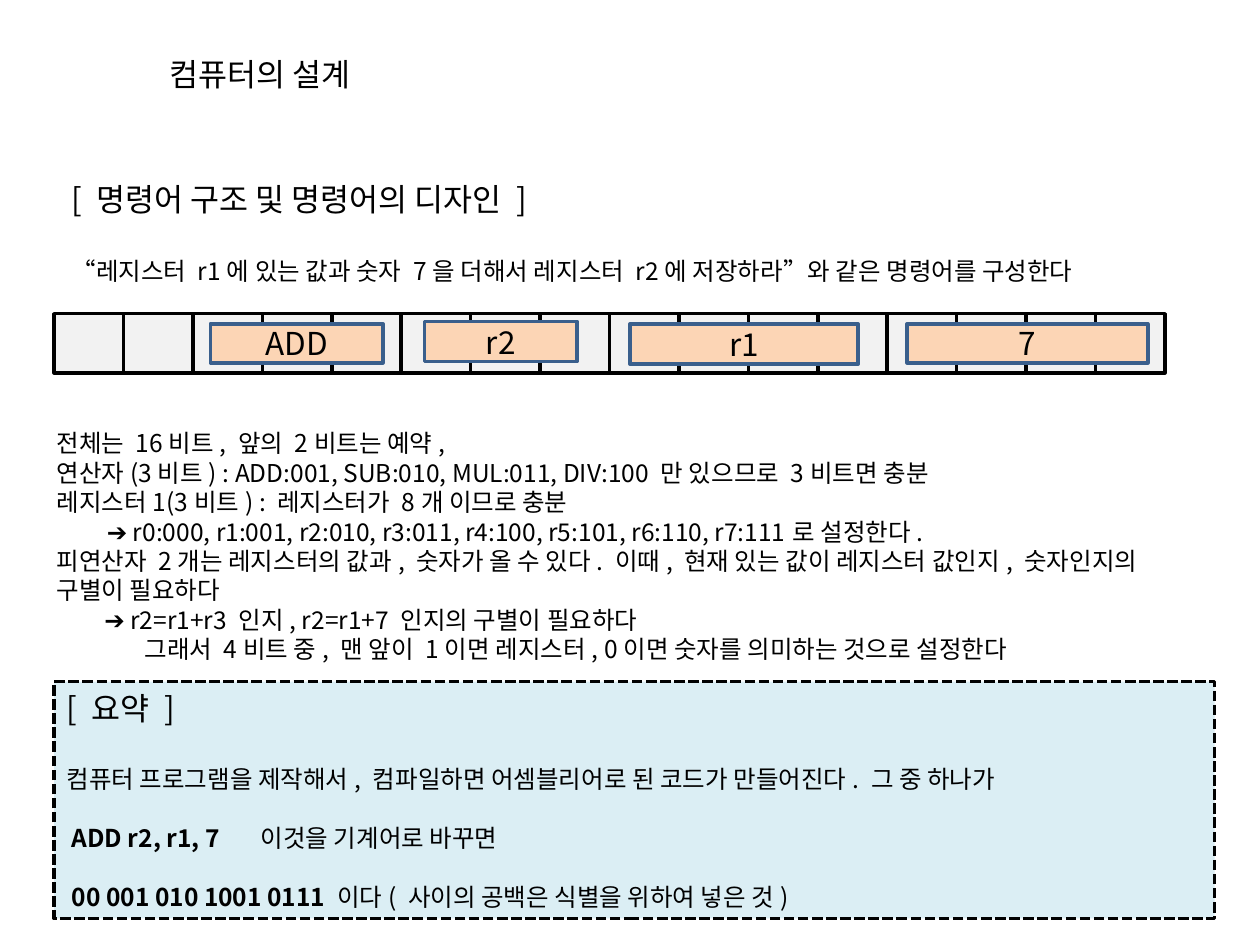
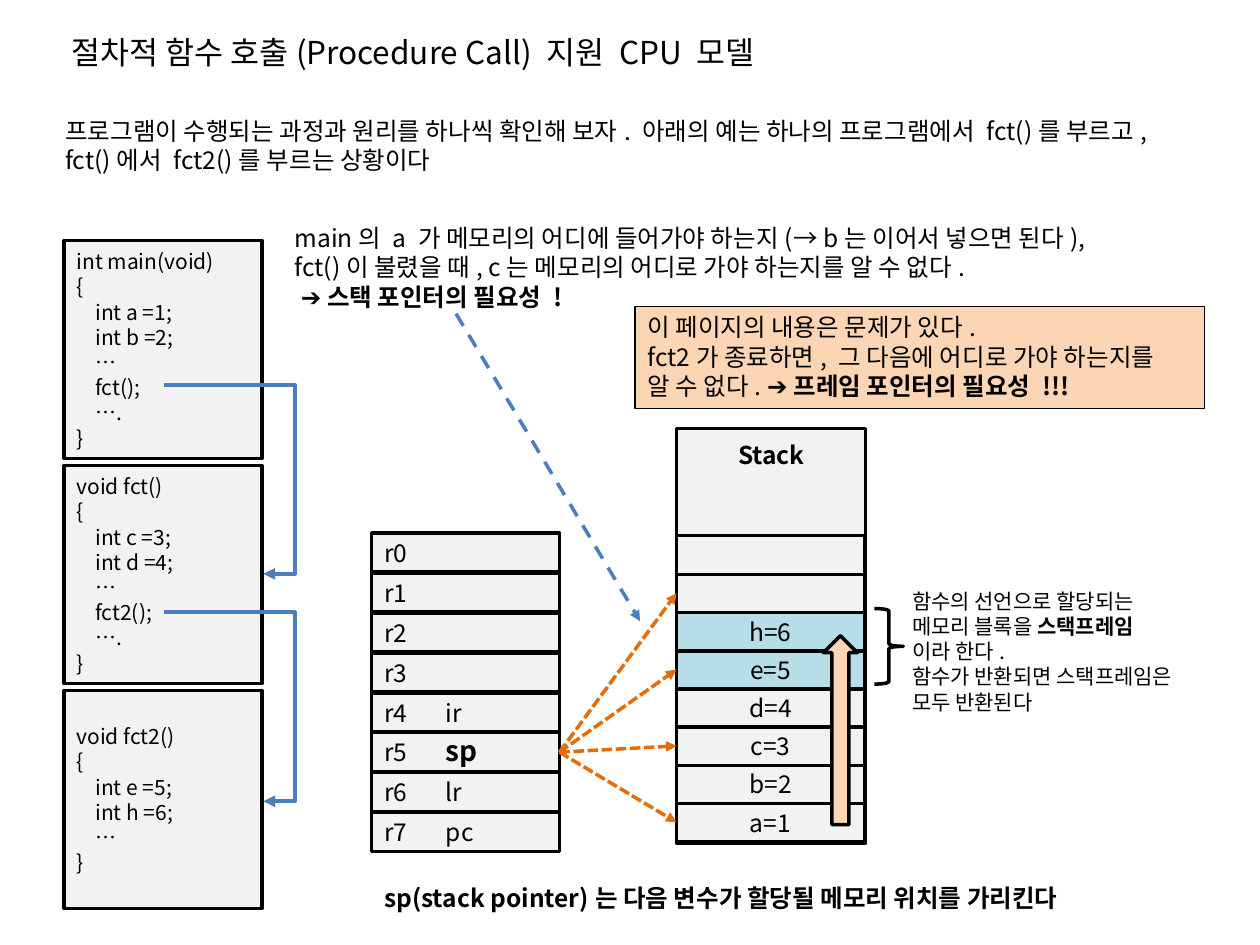
from dataclasses import dataclass
from typing import Optional

import lxml.etree
import pptx
import pptx.dml.color
import pptx.enum.dml
import pptx.enum.shapes
import pptx.enum.text
import pptx.oxml.ns
import pptx.util

RGBColor = pptx.dml.color.RGBColor
BLACK = RGBColor(0x00, 0x00, 0x00)
GREY = RGBColor(0xF2, 0xF2, 0xF2)
PEACH = RGBColor(0xFC, 0xD5, 0xB5)
PALE_BLUE = RGBColor(0xDB, 0xEE, 0xF4)
FRAME_BLUE = RGBColor(0xB7, 0xDE, 0xE8)
FIELD_BORDER = RGBColor(0x3A, 0x5F, 0x8C)
CALL_BLUE = RGBColor(0x4B, 0x7E, 0xBC)
POINTER_ORANGE = RGBColor(0xE4, 0x6C, 0x0A)

FONT = "Noto Sans CJK KR"
TITLE_SIZE, BODY_SIZE, CODE_SIZE = 18, 14, 12
LINE_PITCH = 1.2

SLIDE_WIDTH = pptx.util.Inches(10)
SLIDE_HEIGHT = pptx.util.Inches(7.5)
COLUMN = SLIDE_WIDTH / 100
ROW = SLIDE_HEIGHT / 75

PRESET = pptx.enum.shapes.MSO_SHAPE
CONNECTOR = pptx.enum.shapes.MSO_CONNECTOR
DASH = pptx.enum.dml.MSO_LINE
ALIGN = pptx.enum.text.PP_ALIGN
ANCHOR = pptx.enum.text.MSO_ANCHOR
GROW = pptx.enum.text.MSO_AUTO_SIZE.SHAPE_TO_FIT_TEXT
qn = pptx.oxml.ns.qn


@dataclass(frozen=True)
class Box:
    """A rectangle in grid columns and rows."""
    left: float
    top: float
    width: float
    height: float

    def emu(self) -> tuple[int, int, int, int]:
        return (round(self.left * COLUMN), round(self.top * ROW),
                round(self.width * COLUMN), round(self.height * ROW))


@dataclass(frozen=True)
class Line:
    """One paragraph: plain text, then bold text, then plain text."""
    text: str = ""
    strong: str = ""
    tail: str = ""
    size: int = BODY_SIZE
    strong_size: Optional[int] = None
    indent: float = 0
    tab: float = 0
    gap: int = 0  # size of the empty line above
    align: ALIGN = ALIGN.LEFT


@dataclass(frozen=True)
class Style:
    fill: Optional[RGBColor] = GREY
    border: RGBColor = BLACK
    weight: float = 2
    dash: Optional[DASH] = None


def write_line(paragraph, line: Line) -> None:
    properties = paragraph._p.get_or_add_pPr()
    if line.indent:
        properties.set("marL", str(round(line.indent * COLUMN)))
        properties.set("indent", "0")
    if line.tab:
        tabs = lxml.etree.SubElement(properties, qn("a:tabLst"))
        lxml.etree.SubElement(tabs, qn("a:tab"), pos=str(round(line.tab * COLUMN)), algn="l")
    paragraph.alignment = line.align
    paragraph.line_spacing = pptx.util.Pt(line.size * LINE_PITCH)
    if line.gap:
        paragraph.space_before = pptx.util.Pt(line.gap * LINE_PITCH)
    paragraph.font.size = pptx.util.Pt(line.size)
    paragraph.font.color.rgb = BLACK
    paragraph.font.name = FONT
    lxml.etree.SubElement(properties.find(qn("a:defRPr")), qn("a:ea"), typeface=FONT)
    for text, bold in ((line.text, False), (line.strong, True), (line.tail, False)):
        if text:
            run = paragraph.add_run()
            run.text = text
            if bold:
                run.font.bold = True
                if line.strong_size:
                    run.font.size = pptx.util.Pt(line.strong_size)


def write_lines(shape, lines: list[Line], anchor: ANCHOR, wrap: bool) -> None:
    frame = shape.text_frame
    frame.word_wrap = wrap
    frame.vertical_anchor = anchor
    for index, line in enumerate(lines):
        write_line(frame.add_paragraph() if index else frame.paragraphs[0], line)


def add_text(slide, box: Box, lines: list[Line], wrap: bool = False) -> None:
    shape = slide.shapes.add_textbox(*box.emu())
    write_lines(shape, lines, ANCHOR.TOP, wrap)
    shape.text_frame.auto_size = GROW


def add_title(slide, box: Box, text: str) -> None:
    add_text(slide, box, [Line(text, size=TITLE_SIZE)])


def add_box(slide, box: Box, style: Style, lines: Optional[list[Line]] = None,
            preset: PRESET = PRESET.RECTANGLE, anchor: ANCHOR = ANCHOR.MIDDLE,
            wrap: bool = True):
    shape = slide.shapes.add_shape(preset, *box.emu())
    shape.shadow.inherit = False
    if style.fill is None:
        shape.fill.background()
    else:
        shape.fill.solid()
        shape.fill.fore_color.rgb = style.fill
    shape.line.color.rgb = style.border
    shape.line.width = pptx.util.Pt(style.weight)
    if style.dash:
        shape.line.dash_style = style.dash
    if lines:
        write_lines(shape, lines, anchor, wrap)
    return shape


def add_arrow(slide, start: tuple[float, float], end: tuple[float, float], color: RGBColor,
              weight: float = 2, dash: Optional[DASH] = None,
              kind: CONNECTOR = CONNECTOR.STRAIGHT):
    points = [round(value * unit) for point in (start, end)
              for value, unit in zip(point, (COLUMN, ROW))]
    arrow = slide.shapes.add_connector(kind, *points)
    arrow.line.color.rgb = color
    arrow.line.width = pptx.util.Pt(weight)
    if dash:
        arrow.line.dash_style = dash
    properties = arrow._element.spPr
    lxml.etree.SubElement(properties.find(qn("a:ln")), qn("a:tailEnd"), type="triangle")
    lxml.etree.SubElement(properties, qn("a:effectLst"))
    return arrow


def add_call_arrow(slide, start: tuple[float, float], end: tuple[float, float]) -> None:
    """Elbow that swings out to the right of its end."""
    arrow = add_arrow(slide, start, end, CALL_BLUE, 2.25, kind=CONNECTOR.ELBOW)
    geometry = arrow._element.spPr.find(qn("a:prstGeom"))
    guides = geometry.find(qn("a:avLst"))
    if guides is None:
        guides = lxml.etree.SubElement(geometry, qn("a:avLst"))
    lxml.etree.SubElement(guides, qn("a:gd"), name="adj1", fmla="val 131500")


def build_instruction_slide(slide) -> None:
    add_title(slide, Box(12.5, 3.9, 18.1, 4), "컴퓨터의 설계")
    add_text(slide, Box(4.7, 13.8, 85.1, 14.1), [
        Line("[ 명령어 구조 및 명령어의 디자인 ]", size=TITLE_SIZE),
        Line("“레지스터 r1에 있는 값과 숫자 7을 더해서 레지스터 r2에 저장하라”와 같은 명령어를 구성한다",
             gap=TITLE_SIZE),
    ])

    bit_count, bit_width = 16, 5.51
    for bit in range(bit_count):
        add_box(slide, Box(4.3 + bit * bit_width, 24.9, bit_width, 4.7), Style())
    fields = {
        "ADD": Box(16.7, 25.7, 13.7, 3.1),
        "r2": Box(33.7, 25.5, 12.1, 3.2),
        "r1": Box(50, 25.7, 18.1, 3.2),
        "7": Box(72, 25.7, 19.1, 3.1),
    }
    for name, box in fields.items():
        add_box(slide, box, Style(PEACH, FIELD_BORDER),
                [Line(name, size=TITLE_SIZE, align=ALIGN.CENTER)])

    add_text(slide, Box(3.5, 33.5, 93.1, 19.9), [
        Line("전체는 16비트, 앞의 2비트는 예약,"),
        Line("연산자(3비트) : ADD:001, SUB:010, MUL:011, DIV:100 만 있으므로 3비트면 충분"),
        Line("레지스터1(3비트) : 레지스터가 8개 이므로 충분"),
        Line("➔ r0:000, r1:001, r2:010, r3:011, r4:100, r5:101, r6:110, r7:111로 설정한다.",
             indent=4),
        Line("피연산자 2개는 레지스터의 값과, 숫자가 올 수 있다. 이때, 현재 있는 값이 "
             "레지스터 값인지, 숫자인지의 구별이 필요하다"),
        Line("➔ r2=r1+r3 인지, r2=r1+7 인지의 구별이 필요하다", indent=3.8),
        Line("그래서 4비트 중, 맨 앞이 1이면 레지스터, 0이면 숫자를 의미하는 것으로 설정한다",
             indent=7),
    ], wrap=True)

    add_box(slide, Box(4.3, 54.1, 92.1, 18.8), Style(PALE_BLUE, dash=DASH.SQUARE_DOT), [
        Line("[ 요약 ]", size=TITLE_SIZE),
        Line("컴퓨터 프로그램을 제작해서, 컴파일하면 어셈블리어로 된 코드가 만들어진다. 그 중 하나가",
             gap=TITLE_SIZE),
        Line(strong="ADD r2, r1, 7", tail="\t이것을 기계어로 바꾸면",
             indent=0.4, tab=15.3, gap=BODY_SIZE),
        Line(strong="00 001 010 1001 0111 ", tail="이다( 사이의 공백은 식별을 위하여 넣은 것)",
             indent=0.4, gap=BODY_SIZE),
    ])


def build_call_slide(slide) -> None:
    add_title(slide, Box(4.7, 2.1, 57.2, 4), "절차적 함수 호출(Procedure Call) 지원 CPU 모델")
    add_text(slide, Box(4.2, 8.7, 95, 5.7), [
        Line("프로그램이 수행되는 과정과 원리를 하나씩 확인해 보자. "
             "아래의 예는 하나의 프로그램에서 fct()를 부르고,"),
        Line("fct()에서 fct2()를 부르는 상황이다"),
    ])

    functions = [
        ("int main(void)", "{", "    int a =1;", "    int b =2;", "    …", "    fct();", "    ….", "}"),
        ("void fct()", "{", "    int c =3;", "    int d =4;", "    …", "    fct2();", "    ….", "}"),
        ("void fct2()", "{", "    int e =5;", "    int h =6;", "    …", "}"),
    ]
    for index, code in enumerate(functions):
        add_box(slide, Box(5.1, 19.1 + index * 17.85, 15.7, 17.3), Style(),
                [Line(text, size=CODE_SIZE) for text in code])

    add_box(slide, Box(53.7, 34, 15, 32.9), Style())
    stack_labels = ["", "", "h=6", "e=5", "d=4", "c=3", "b=2", "a=1"]
    stack_cells = {}
    for index, label in reversed(list(enumerate(stack_labels))):
        in_frame = label in ("h=6", "e=5")
        stack_cells[index] = add_box(
            slide, Box(53.7, 42.5 + index * 3.03, 14.9, 3.1),
            Style(FRAME_BLUE if in_frame else GREY),
            [Line(label, align=ALIGN.CENTER)] if label else None)

    for call_row in (30.55, 48.6):
        add_call_arrow(slide, (13, call_row), (20.9, call_row + 15))
    add_text(slide, Box(57.6, 34.4, 8.2, 3.4), [Line(strong="Stack")], wrap=True)
    growth = add_box(slide, Box(59.2, 56.6, 15, 2.7), Style(PEACH), preset=PRESET.RIGHT_ARROW)
    growth.rotation = 270

    add_text(slide, Box(71.4, 46.2, 25.1, 11.1), [
        Line("함수의 선언으로 할당되는", size=CODE_SIZE),
        Line("메모리 블록을 ", strong="스택프레임", size=CODE_SIZE),
        Line("이라 한다.", size=CODE_SIZE),
        Line("함수가 반환되면 스택프레임은", size=CODE_SIZE),
        Line("모두 반환된다", size=CODE_SIZE),
    ])
    add_box(slide, Box(69.4, 48.3, 2.3, 6), Style(fill=None), preset=PRESET.RIGHT_BRACE)

    roles = {4: "ir", 5: "sp", 6: "lr", 7: "pc"}
    registers = []
    for number in range(8):
        role = roles.get(number, "")
        name = f"r{number}\t" if role else f"r{number}"
        is_pointer = role == "sp"
        line = Line(name, strong=role if is_pointer else "", tail="" if is_pointer else role,
                    strong_size=16, tab=4.9)
        registers.append(add_box(slide, Box(29.5, 42.3 + number * 3.17, 14.9, 3.1), Style(), [line]))

    add_text(slide, Box(29.5, 69.6, 59.2, 3.4),
             [Line(strong="sp(stack pointer)는 다음 변수가 할당될 메모리 위치를 가리킨다")])
    for target in (5, 7, 3, 1):
        arrow = add_arrow(slide, (44.4, 59.8), (53.7, 59), POINTER_ORANGE, dash=DASH.SQUARE_DOT)
        arrow.begin_connect(registers[5], 3)
        arrow.end_connect(stack_cells[target], 1)

    add_box(slide, Box(50.4, 24.3, 45.2, 8.1), Style(PEACH, weight=0.75), [
        Line("이 페이지의 내용은 문제가 있다."),
        Line("fct2가 종료하면, 그 다음에 어디로 가야 하는지를"),
        Line("알 수 없다. ➔", strong="프레임 포인터의 필요성 !!!"),
    ], anchor=ANCHOR.TOP, wrap=False)
    add_text(slide, Box(22.4, 17.2, 68.8, 8.1), [
        Line("main의 a 가 메모리의 어디에 들어가야 하는지(→ b는 이어서 넣으면 된다),"),
        Line("fct()이 불렸을 때, c는 메모리의 어디로 가야 하는지를 알 수 없다."),
        Line("➔ ", strong="스택 포인터의 필요성 !", indent=0.5),
    ])
    add_arrow(slide, (36.2, 24.9), (50.8, 49.3), CALL_BLUE, dash=DASH.DASH)


def main() -> None:
    presentation = pptx.Presentation()
    presentation.slide_width = SLIDE_WIDTH
    presentation.slide_height = SLIDE_HEIGHT
    blank = presentation.slide_layouts[6]
    for build in (build_instruction_slide, build_call_slide):
        build(presentation.slides.add_slide(blank))
    presentation.save("out.pptx")


if __name__ == "__main__":
    main()
